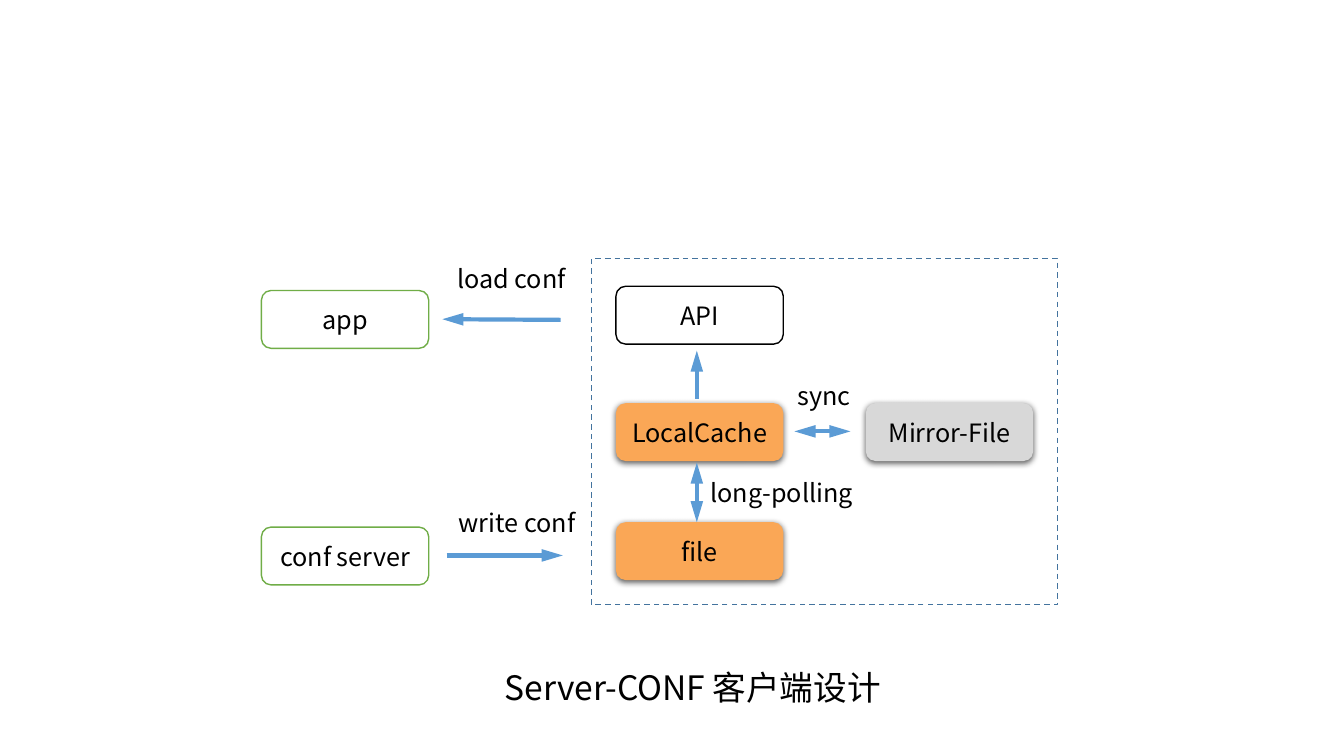
from lxml.etree import SubElement
from pptx import Presentation
from pptx.dml.color import RGBColor
from pptx.enum.dml import MSO_LINE
from pptx.enum.shapes import MSO_CONNECTOR, MSO_SHAPE
from pptx.enum.text import MSO_ANCHOR, PP_ALIGN
from pptx.oxml.ns import qn
from pptx.util import Pt


def color(value):
    return RGBColor.from_string(value)


def write(shape, text, size=18, font="Noto Sans CJK SC", fill="000000",
          align=PP_ALIGN.CENTER, anchor=MSO_ANCHOR.MIDDLE, wrap=True):
    frame = shape.text_frame
    frame.word_wrap = wrap
    frame.vertical_anchor = anchor
    paragraph = frame.paragraphs[0]
    paragraph.alignment = align
    run = paragraph.add_run()
    run.text = text
    run.font.size = Pt(size)
    run.font.color.rgb = color(fill)
    run.font.name = font
    SubElement(run.font._element, qn("a:ea"), typeface=font)


class Diagram:
    arrow_color = "5B9BD5"
    box_width, box_height = 119.5, 41.3

    def __init__(self, slide):
        self.slide = slide

    def title(self, text, left, top, width, height):
        shape = self.slide.shapes.title
        shape.left, shape.top = Pt(left), Pt(top)
        shape.width, shape.height = Pt(width), Pt(height)
        write(shape, text, size=24, wrap=False)

    def frame(self, left, top, width, height):
        shape = self.slide.shapes.add_shape(
            MSO_SHAPE.RECTANGLE, Pt(left), Pt(top), Pt(width), Pt(height))
        shape.shadow.inherit = False
        shape.fill.background()
        shape.line.color.rgb = color("43739E")
        shape.line.width = Pt(1)
        shape.line.dash_style = MSO_LINE.DASH

    def box(self, text, left, top, fill="FFFFFF", line=None):
        """A box has either an outline or a shadow."""
        shape = self.slide.shapes.add_shape(
            MSO_SHAPE.FLOWCHART_ALTERNATE_PROCESS, Pt(left), Pt(top),
            Pt(self.box_width), Pt(self.box_height))
        shape.shadow.inherit = False
        shape.fill.solid()
        shape.fill.fore_color.rgb = color(fill)
        if line:
            shape.line.color.rgb = color(line)
            shape.line.width = Pt(1)
        else:
            shape.line.fill.background()
            self.add_shadow(shape)
        write(shape, text)

    def add_shadow(self, shape):
        effects = shape._element.spPr.find(qn("a:effectLst"))
        shadow = SubElement(effects, qn("a:outerShdw"), blurRad=str(Pt(4.5)),
                            dist=str(Pt(1.5)), dir="5400000", rotWithShape="0")
        shade = SubElement(shadow, qn("a:srgbClr"), val="000000")
        SubElement(shade, qn("a:alpha"), val="63000")

    def label(self, text, left, top, width):
        shape = self.slide.shapes.add_textbox(
            Pt(left), Pt(top), Pt(width), Pt(29))
        write(shape, text, align=PP_ALIGN.LEFT, anchor=MSO_ANCHOR.TOP, wrap=False)

    def arrow(self, start, end, both=False):
        """The arrow points at end, or at both ends."""
        connector = self.slide.shapes.add_connector(
            MSO_CONNECTOR.STRAIGHT, *(Pt(value) for value in start + end))
        connector.line.color.rgb = color(self.arrow_color)
        connector.line.width = Pt(3)
        line = connector.line._get_or_add_ln()
        for tag in ("a:headEnd", "a:tailEnd") if both else ("a:tailEnd",):
            SubElement(line, qn(tag), type="triangle", w="med", len="lg")
        SubElement(connector._element.spPr, qn("a:effectLst"))


presentation = Presentation()
presentation.slide_width, presentation.slide_height = Pt(960), Pt(540)
slide = presentation.slides.add_slide(presentation.slide_layouts[5])
diagram = Diagram(slide)

# Caption and client boundary
diagram.title("Server-CONF 客户端设计 ", 347, 473, 301, 36)
diagram.frame(422.5, 184.5, 333, 247.5)

# Boxes
outside, client, mirror = 186.75, 440, 618.5
cache_top = 288
diagram.box("API", client, 204.5, line="000000")
diagram.box("conf server", outside, 376.5, line="70AD47")
diagram.box("app", outside, 207.5, line="70AD47")
diagram.box("LocalCache", client, cache_top, fill="FAA756")
diagram.box("file", client, 373, fill="FAA756")
diagram.box("Mirror-File", mirror, cache_top, fill="D8D8D8")

# Arrows
middle = client + diagram.box_width / 2 - 2
cache_middle = cache_top + diagram.box_height / 2
middle = 497.75
diagram.arrow((400.5, 228.5), (316, 228))
diagram.arrow((319, 396.75), (402, 396.75))
diagram.arrow((middle, 285), (middle, 250.5))
diagram.arrow((567.5, cache_middle - 0.5), (607.5, cache_middle - 0.5), both=True)
diagram.arrow((middle, 330.5), (middle, 373), both=True)

# Arrow labels
diagram.label("write conf", 320.5, 358.5, 101.5)
diagram.label("load conf", 319.5, 184.5, 96)
diagram.label("sync", 562.5, 267.75, 52.5)
diagram.label("long-polling", 500.5, 337.5, 122.5)

presentation.save("out.pptx")
